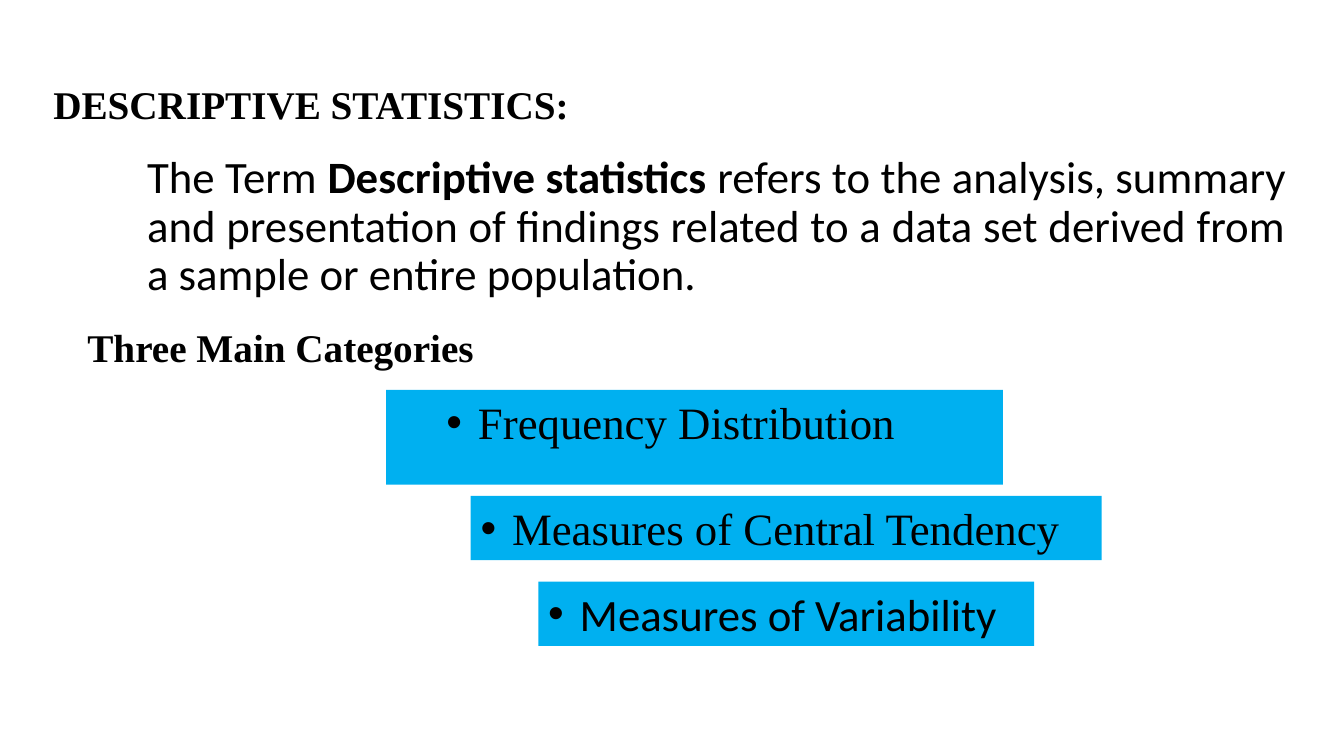
from lxml import etree
from pptx import Presentation
from pptx.dml.color import RGBColor
from pptx.enum.shapes import MSO_SHAPE as Shape
from pptx.enum.text import MSO_ANCHOR as Anchor, PP_ALIGN as Align
from pptx.oxml.ns import qn
from pptx.util import Pt

BLACK = RGBColor(0x00, 0x00, 0x00)
SKY_BLUE = RGBColor(0x00, 0xB0, 0xF0)
SERIF = "Times New Roman"
SANS = "Calibri"
BULLET_INDENT = 22.5


def add_span(para, text, font, size, bold=False):
    """Append one black run to a paragraph."""
    span = para.add_run()
    span.text = text
    span.font.name = font
    span.font.size = Pt(size)
    span.font.bold = bold
    span.font.color.rgb = BLACK


def add_text_box(page, left, top, width, height, wrap=True):
    """Add a text box and return its frame and first paragraph."""
    box = page.shapes.add_textbox(Pt(left), Pt(top), Pt(width), Pt(height))
    box.text_frame.word_wrap = wrap
    return box.text_frame, box.text_frame.paragraphs[0]


deck = Presentation()
deck.slide_width = Pt(960)
deck.slide_height = Pt(540)
page = deck.slides.add_slide(deck.slide_layouts[6])

# Title
frame, para = add_text_box(page, 31, 23.8, 828, 104.4)
frame.vertical_anchor = Anchor.MIDDLE
para.line_spacing = 0.9
add_span(para, "DESCRIPTIVE STATISTICS:", SERIF, 28, bold=True)

# Definition
frame, para = add_text_box(page, 98, 107.3, 828, 342.7)
para.alignment = Align.JUSTIFY
para.line_spacing = 0.9
para.space_before = Pt(10)
add_span(para, "The Term ", SANS, 32)
add_span(para, "Descriptive statistics", SANS, 32, bold=True)
add_span(para, " refers to the analysis, summary and presentation of findings "
         "related to a data set derived from a sample or entire population.", SANS, 32)

# Categories heading
frame, para = add_text_box(page, 55.4, 227.5, 293, 41, wrap=False)
add_span(para, "Three Main Categories", SERIF, 28, bold=True)

# Categories: text, font, left, top, width, height, outline level
categories = [
    ("Frequency Distribution", SERIF, 275.8, 278.6, 440.6, 67.7, 1),
    ("Measures of Central Tendency", SERIF, 336.2, 354.2, 450.7, 46, 0),
    ("Measures of Variability", SANS, 384.5, 415.4, 354.2, 46, 0),
]
for text, font, left, top, width, height, level in categories:
    box = page.shapes.add_shape(Shape.RECTANGLE, Pt(left), Pt(top), Pt(width), Pt(height))
    box.shadow.inherit = False
    box.fill.solid()
    box.fill.fore_color.rgb = SKY_BLUE
    box.line.fill.background()
    frame = box.text_frame
    frame.word_wrap = True
    frame.vertical_anchor = Anchor.TOP
    para = frame.paragraphs[0]
    para.alignment = Align.LEFT
    para.level = level
    add_span(para, text, font, 32)
    properties = para._p.get_or_add_pPr()
    properties.set("marL", str(Pt(BULLET_INDENT + 36 * level)))
    properties.set("indent", str(Pt(-BULLET_INDENT)))
    etree.SubElement(properties, qn("a:buFont")).set("typeface", "Arial")
    etree.SubElement(properties, qn("a:buChar")).set("char", "•")

deck.save("out.pptx")
